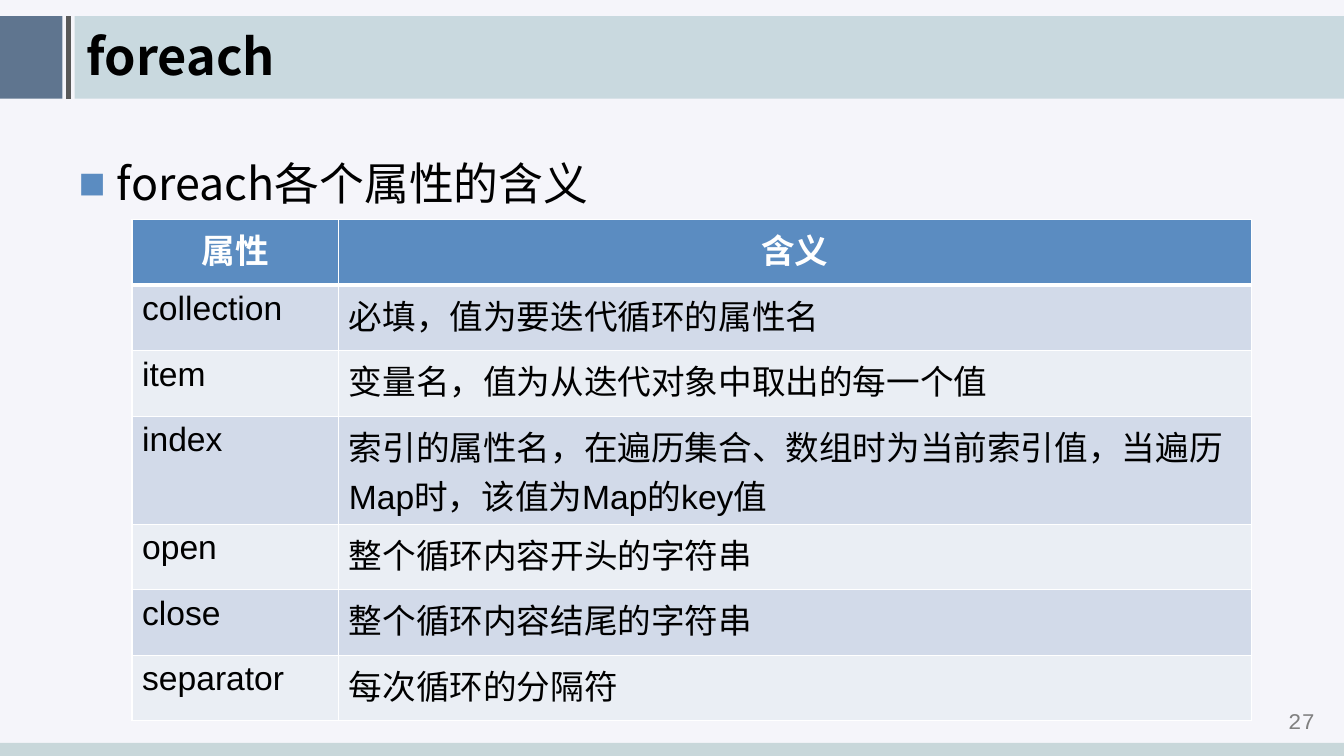
from collections import namedtuple

from lxml import etree
from pptx import Presentation
from pptx import util as u
from pptx.dml.color import RGBColor
from pptx.enum import shapes, text
from pptx.oxml import ns

Box = namedtuple("Box", "left top width height")
WIDTH, HEIGHT = 13.33, 7.5
CJK = "Noto Sans CJK SC"
COLORS = {
    "page": "F5F5FA", "block": "204062", "rule": "595959", "band": "6699A1",
    "foot": "C8D7DA", "number": "808080", "ink": "000000", "accent": "5B8CC1",
    "white": "FFFFFF", "odd": "D2DAE9", "even": "EAEEF4",
}
ROW_HEIGHT, TALL_ROW_HEIGHT = 0.65, 1.07
ROWS = [
    ("属性", "含义"),
    ("collection", "必填，值为要迭代循环的属性名"),
    ("item", "变量名，值为从迭代对象中取出的每一个值"),
    ("index", "索引的属性名，在遍历集合、数组时为当前索引值，当遍历Map时，该值为Map的key值"),
    ("open", "整个循环内容开头的字符串"),
    ("close", "整个循环内容结尾的字符串"),
    ("separator", "每次循环的分隔符"),
]


def rgb(name):
    """Return the named colour."""
    return RGBColor.from_string(COLORS[name])


def inches(box):
    """Return the box as four lengths."""
    return [u.Inches(side) for side in box]


def child(parent, tag, **attributes):
    """Append a DrawingML element and return it."""
    return etree.SubElement(parent, ns.qn("a:" + tag), attributes)


def place(shape, box):
    """Move a shape to the box."""
    for name, value in zip(Box._fields, inches(box)):
        setattr(shape, name, value)


def write(para, words, color, font, **formats):
    """Add one formatted span to a paragraph."""
    span = para.add_run()
    span.text = words
    span.font.color.rgb = rgb(color)
    for name, value in {"name": font, **formats}.items():
        setattr(span.font, name, value)
    child(span._r.get_or_add_rPr(), "ea", typeface=CJK)


def add_panel(page, box, color, opacity=100):
    """Add a plain rectangle, translucent if asked."""
    panel = page.shapes.add_shape(shapes.MSO_SHAPE.RECTANGLE, *inches(box))
    panel.shadow.inherit = False
    panel.fill.solid()
    panel.fill.fore_color.rgb = rgb(color)
    panel.line.fill.background()
    if opacity < 100:
        shade = panel._element.spPr.find(ns.qn("a:solidFill"))[0]
        child(shade, "alpha", val=str(opacity * 1000))


def add_header(page, box):
    """Draw the title band and fill the title placeholder in front of it."""
    add_panel(page, box._replace(width=0.62), "block", 70)
    add_panel(page, box._replace(left=box.left + 0.74, width=box.width - 0.74), "band", 30)
    x = box.left + 0.68
    rule = page.shapes.add_connector(
        shapes.MSO_CONNECTOR.STRAIGHT,
        *inches((x, box.top + box.height, x, box.top)))
    rule.line.color.rgb = rgb("rule")
    rule.line.width = u.Pt(3)
    child(rule._element.spPr, "effectLst")
    title = page.shapes.title
    rule._element.addnext(title._element)
    place(title, Box(box.left + 0.76, box.top + 0.02, 11.54, box.height - 0.09))
    frame = title.text_frame
    frame.auto_size = text.MSO_AUTO_SIZE.NONE
    frame.vertical_anchor = text.MSO_ANCHOR.MIDDLE
    para = frame.paragraphs[0]
    para.alignment = text.PP_ALIGN.LEFT
    write(para, "foreach", "ink", CJK, size=u.Pt(36), bold=True)


def add_body(page, box):
    """Fill the body placeholder with one bulleted line."""
    body = page.placeholders[1]
    place(body, box)
    body.text_frame.auto_size = text.MSO_AUTO_SIZE.NONE
    para = body.text_frame.paragraphs[0]
    para.line_spacing = 1.5
    para.space_before = u.Pt(6.4)
    indent = u.Inches(0.38)
    properties = para._p.get_or_add_pPr()
    properties.set("marL", str(indent))
    properties.set("indent", str(-indent))
    child(child(properties, "buClr"), "srgbClr", val=COLORS["accent"])
    child(properties, "buFont", typeface="Arial")
    child(properties, "buChar", char="■")
    write(para, "foreach各个属性的含义", "ink", CJK, size=u.Pt(32), bold=False)


def fill_cell(cell, words, row):
    """Write one cell with its borders and fill."""
    header = row == 0
    properties = cell._tc.get_or_add_tcPr()
    for side in "LRTB":
        heavy = (header and side == "B") or (row == 1 and side == "T")
        border = child(properties, "ln" + side, w=str(u.Pt(3 if heavy else 1)))
        child(child(border, "solidFill"), "srgbClr", val=COLORS["white"])
    cell.fill.solid()
    cell.fill.fore_color.rgb = rgb("accent" if header else "odd" if row % 2 else "even")
    para = cell.text_frame.paragraphs[0]
    para.alignment = text.PP_ALIGN.CENTER if header else text.PP_ALIGN.LEFT
    write(para, words, "white" if header else "ink", "Arial", size=u.Pt(24), bold=header)


def add_attributes(page, box):
    """Add the table of attributes and meanings."""
    table = page.shapes.add_table(len(ROWS), 2, *inches(box)).table
    for column, width in zip(table.columns, (2.05, box.width - 2.05)):
        column.width = u.Inches(width)
    for row, entries in enumerate(ROWS):
        tall = entries[0] == "index"
        table.rows[row].height = u.Inches(TALL_ROW_HEIGHT if tall else ROW_HEIGHT)
        for column, words in enumerate(entries):
            fill_cell(table.cell(row, column), words, row)


def add_footer(page, box):
    """Draw the bottom strip with the page number above it."""
    add_panel(page, box, "foot")
    number = page.shapes.add_textbox(
        *inches((box.left + box.width - 0.84, box.top - 0.38, 0.84, 0.31)))
    frame = number.text_frame
    frame.word_wrap = True
    frame.vertical_anchor = text.MSO_ANCHOR.MIDDLE
    para = frame.paragraphs[0]
    para.alignment = text.PP_ALIGN.CENTER
    write(para, "27", "number", "Courier New", size=u.Pt(16))


def main():
    """Build and save the deck."""
    deck = Presentation()
    deck.slide_width, deck.slide_height = u.Inches(WIDTH), u.Inches(HEIGHT)
    page = deck.slides.add_slide(deck.slide_layouts[1])
    page.background.fill.solid()
    page.background.fill.fore_color.rgb = rgb("page")
    add_header(page, Box(0, 0.16, WIDTH, 0.82))
    add_footer(page, Box(0, 7.37, WIDTH, 0.13))
    add_body(page, Box(0.68, 1.23, 11.97, 5.67))
    table_height = ROW_HEIGHT * (len(ROWS) - 1) + TALL_ROW_HEIGHT
    add_attributes(page, Box(1.31, 2.18, 11.1, table_height))
    deck.save("out.pptx")


if __name__ == "__main__":
    main()
